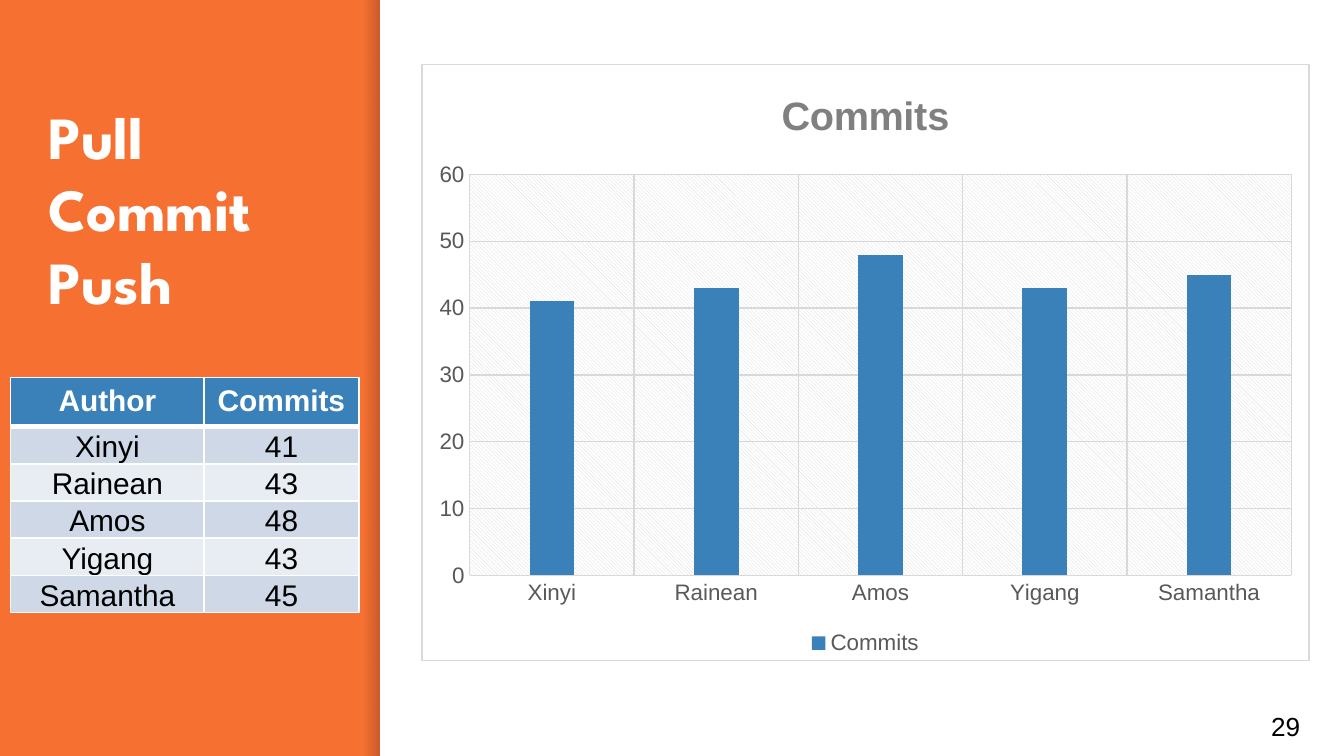
from dataclasses import dataclass

from pptx import Presentation
from pptx.chart.data import CategoryChartData
from pptx.dml.color import RGBColor
from pptx.enum.chart import XL_CHART_TYPE as ChartType, XL_LEGEND_POSITION as LegendPosition
from pptx.enum.chart import XL_TICK_MARK as TickMark
from pptx.enum.shapes import MSO_SHAPE as Shape
from pptx.enum.text import MSO_ANCHOR as Anchor, MSO_AUTO_SIZE as AutoSize, PP_ALIGN as Align
from pptx.oxml import parse_xml
from pptx.oxml.ns import nsdecls
from pptx.util import Pt


@dataclass(frozen=True)
class Theme:
    orange: str = "F67031"
    blue: str = "3A81BA"
    white: str = "FFFFFF"
    black: str = "000000"
    shade: str = "000014"
    bands: tuple = ("CED8E7", "E8EDF3")
    grid: str = "D9D9D9"
    axis_text: str = "595959"
    chart_title: str = "808080"
    heading_font: str = "League Spartan"
    body_font: str = "Arial"
    heading_size: float = 32
    table_size: float = 16
    number_size: float = 14
    axis_size: float = 12
    chart_title_size: float = 21.3


theme = Theme()
commits = {"Xinyi": 41, "Rainean": 43, "Amos": 48, "Yigang": 43, "Samantha": 45}


def style_font(font, size, color, bold=False, name=theme.body_font):
    font.name = name
    font.size = Pt(size)
    font.bold = bold
    font.color.rgb = RGBColor.from_string(color)


def chart_area_format(fill):
    """Return chart shape properties holding the given fill and a thin grey border."""
    return parse_xml(
        f'<c:spPr {nsdecls("c", "a")}>{fill}<a:ln w="{Pt(0.75)}"><a:solidFill>'
        f'<a:srgbClr val="{theme.grid}"/></a:solidFill></a:ln></c:spPr>')


presentation = Presentation()
presentation.slide_width = Pt(720)
presentation.slide_height = Pt(405)
slide = presentation.slides.add_slide(presentation.slide_layouts[5])
slide.background.fill.solid()
slide.background.fill.fore_color.rgb = RGBColor.from_string(theme.orange)

# White panel with a soft shade along its left edge
shade = slide.shapes.add_shape(Shape.RECTANGLE, Pt(194.7), 0, Pt(9), Pt(405))
shade.shadow.inherit = False
shade.line.fill.background()
shade.fill.gradient()
shade.fill.gradient_angle = 0
for stop, position, opacity in zip(shade.fill.gradient_stops, (0, 1), (0, 20000)):
    stop.position = position
    stop.color.rgb = RGBColor.from_string(theme.shade)
    color = stop.color._xFill.find(".//{*}srgbClr") if hasattr(stop.color, "_xFill") else None
for color, opacity in zip(shade._element.spPr.findall(".//{*}gs/{*}srgbClr"), (0, 20000)):
    color.append(parse_xml(f'<a:alpha {nsdecls("a")} val="{opacity}"/>'))

panel = slide.shapes.add_shape(Shape.RECTANGLE, Pt(203.7), 0, Pt(516.3), Pt(405))
panel.shadow.inherit = False
panel.line.fill.background()
panel.fill.solid()
panel.fill.fore_color.rgb = RGBColor.from_string(theme.white)

# Title
title = slide.shapes.title
title.left, title.top, title.width, title.height = Pt(18.7), Pt(45.4), Pt(161.3), Pt(313)
frame = title.text_frame
frame.auto_size = AutoSize.NONE
frame.word_wrap = True
frame.vertical_anchor = Anchor.TOP
frame.margin_left = frame.margin_top = frame.margin_right = frame.margin_bottom = Pt(7.2)
paragraph = frame.paragraphs[0]
paragraph.alignment = Align.LEFT
paragraph.line_spacing = Pt(39)
for index, word in enumerate(("Pull", "Commit", "Push")):
    if index:
        paragraph.add_line_break()
    run = paragraph.add_run()
    run.text = word
    style_font(run.font, theme.heading_size, theme.white, True, theme.heading_font)

# Slide number
number_box = slide.shapes.add_textbox(Pt(673.9), Pt(373.7), Pt(43.2), Pt(31))
frame = number_box.text_frame
frame.word_wrap = True
frame.vertical_anchor = Anchor.MIDDLE
frame.margin_left = frame.margin_top = frame.margin_right = frame.margin_bottom = Pt(7.2)
run = frame.paragraphs[0].add_run()
run.text = "29"
style_font(run.font, theme.number_size, theme.black)

# Table of commits by author
rows = [("Author", "Commits"), *commits.items()]
table = slide.shapes.add_table(len(rows), 2, Pt(5.7), Pt(202.2), Pt(186.5), Pt(117.7)).table
for column, width in zip(table.columns, (103.7, 82.8)):
    column.width = Pt(width)
for row_index, values in enumerate(rows):
    is_header = row_index == 0
    table.rows[row_index].height = Pt(25.2 if is_header else 18.5)
    for column_index, value in enumerate(values):
        cell = table.cell(row_index, column_index)
        cell.vertical_anchor = Anchor.TOP if is_header else Anchor.BOTTOM
        cell.margin_left = cell.margin_right = Pt(3.6 if is_header else 0.7)
        cell.margin_top = Pt(3.6 if is_header else 0.7)
        cell.margin_bottom = Pt(3.6 if is_header else 0)
        paragraph = cell.text_frame.paragraphs[0]
        paragraph.alignment = Align.CENTER
        run = paragraph.add_run()
        run.text = str(value)
        style_font(run.font, theme.table_size, theme.white if is_header else theme.black, is_header)
        border_widths = {"L": 1, "R": 1, "T": 3 if row_index == 1 else 1, "B": 3 if is_header else 1}
        for side, width in border_widths.items():
            cell._tc.get_or_add_tcPr().append(parse_xml(
                f'<a:ln{side} {nsdecls("a")} w="{Pt(width)}"><a:solidFill>'
                f'<a:srgbClr val="{theme.white}"/></a:solidFill></a:ln{side}>'))
        cell.fill.solid()
        cell.fill.fore_color.rgb = RGBColor.from_string(
            theme.blue if is_header else theme.bands[(row_index - 1) % 2])

# Column chart of the same commits
chart_data = CategoryChartData()
chart_data.categories = list(commits)
chart_data.add_series("Commits", list(commits.values()))
chart = slide.shapes.add_chart(
    ChartType.COLUMN_CLUSTERED, Pt(225.6), Pt(34.2), Pt(476), Pt(320), chart_data).chart
style_font(chart.font, 10, theme.black)

chart.has_title = True
chart.chart_title.include_in_layout = False
run = chart.chart_title.text_frame.paragraphs[0].add_run()
run.text = "Commits"
style_font(run.font, theme.chart_title_size, theme.chart_title, True)

chart.has_legend = True
chart.legend.position = LegendPosition.BOTTOM
chart.legend.include_in_layout = False
style_font(chart.legend.font, theme.axis_size, theme.axis_text)

plot = chart.plots[0]
plot.vary_by_categories = False
plot.gap_width = 267
plot.overlap = -43
bars = plot.series[0].format.fill
bars.solid()
bars.fore_color.rgb = RGBColor.from_string(theme.blue)

for axis in (chart.category_axis, chart.value_axis):
    axis.major_tick_mark = axis.minor_tick_mark = TickMark.NONE
    axis.has_major_gridlines = True
    style_font(axis.tick_labels.font, theme.axis_size, theme.axis_text)
    for line in (axis.format.line, axis.major_gridlines.format.line):
        line.width = Pt(0.75)
        line.color.rgb = RGBColor.from_string(theme.grid)
chart.value_axis.format.line.fill.background()
chart.value_axis.minimum_scale = 0
chart.value_axis.maximum_scale = 60
chart.value_axis.major_unit = 10

chart_space = chart._chartSpace
chart_space.find("{*}chart").addnext(chart_area_format(
    f'<a:solidFill><a:srgbClr val="{theme.white}"/></a:solidFill>'))
plot_format = chart_area_format(
    f'<a:pattFill prst="ltDnDiag"><a:fgClr><a:srgbClr val="{theme.grid}"/></a:fgClr>'
    f'<a:bgClr><a:srgbClr val="{theme.white}"/></a:bgClr></a:pattFill>')
plot_format.remove(plot_format.find("{*}ln"))
chart_space.find("{*}chart/{*}plotArea").append(plot_format)

presentation.save("out.pptx")
